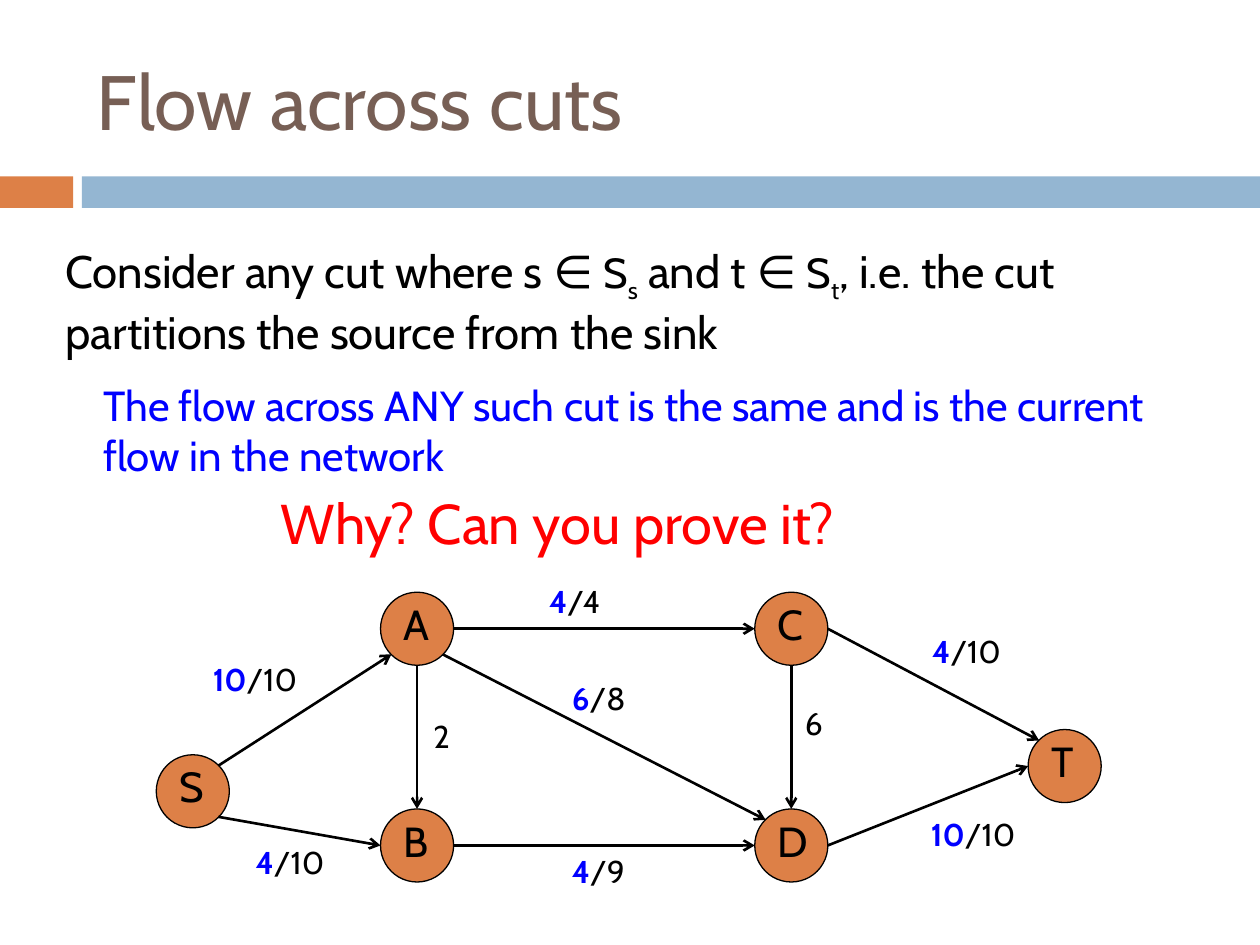
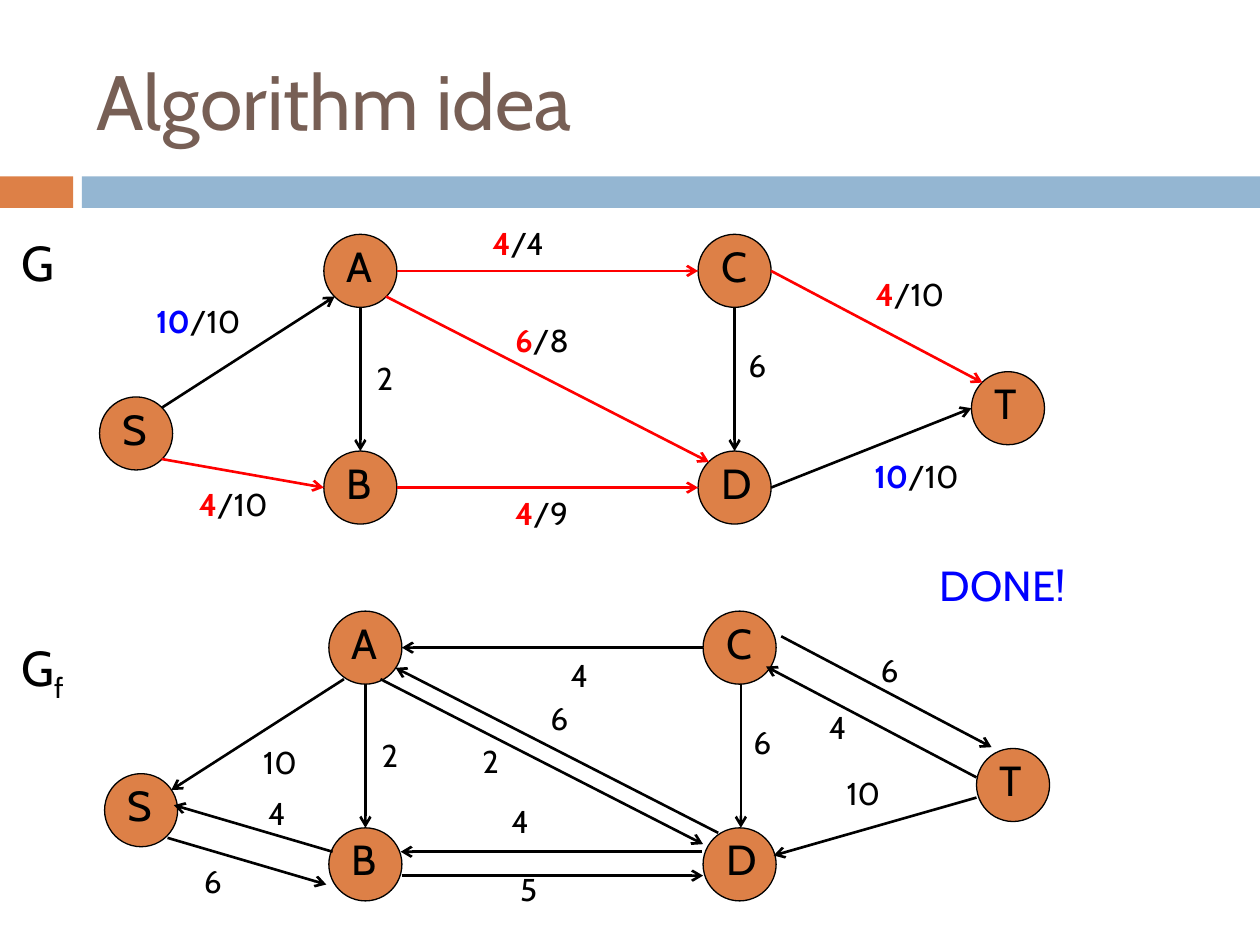
from lxml import etree
from pptx import Presentation
from pptx.dml.color import RGBColor
from pptx.enum.shapes import MSO_CONNECTOR, MSO_SHAPE
from pptx.enum.text import MSO_ANCHOR
from pptx.oxml.ns import qn
from pptx.util import Inches, Pt

RECTANGLE, ELLIPSE = MSO_SHAPE.RECTANGLE, MSO_SHAPE.OVAL
STRAIGHT = MSO_CONNECTOR.STRAIGHT
TOP, MIDDLE = MSO_ANCHOR.TOP, MSO_ANCHOR.MIDDLE

FONT = "Cabin"
BLACK, BLUE, RED = "000000", "0000FF", "FF0000"
ORANGE, BAND_BLUE, BROWN = "DD8047", "94B6D2", "775F55"

# Network geometry, relative to the network's top left corner
NODE_SIZE = 0.58
NODES = {"S": (0, 1.29), "A": (1.78, 0), "B": (1.78, 1.72),
         "C": (4.75, 0), "D": (4.75, 1.72), "T": (6.92, 1.09)}
# Points on a node's rim, as fractions of its size
SITES = {"top": (0.5, 0), "bottom": (0.5, 1), "left": (0, 0.5), "right": (1, 0.5),
         "top left": (0.15, 0.15), "top right": (0.85, 0.15),
         "bottom left": (0.15, 0.85), "bottom right": (0.85, 0.85)}

# Edge: start node, its site, end node, its site, label position
FLOW_EDGES = {
    "SA": ("S", "top right", "A", "bottom left", (0.35, 0.49)),
    "SB": ("S", "bottom right", "B", "left", (0.69, 1.94)),
    "BD": ("B", "right", "D", "left", (3.2, 2.01)),
    "AB": ("A", "bottom", "B", "top", (2.1, 0.94)),
    "AC": ("A", "right", "C", "left", (3.02, -0.13)),
    "CD": ("C", "bottom", "D", "top", (5.05, 0.84)),
    "AD": ("A", "bottom right", "D", "top left", (3.2, 0.64)),
    "CT": ("C", "right", "T", "top left", (6.06, 0.27)),
    "DT": ("D", "right", "T", "left", (6.05, 1.72)),
}
FLOW_LABELS = {"SA": "10/10", "SB": "4/10", "BD": "4/9", "AB": "2", "AC": "4/4",
               "CD": "6", "AD": "6/8", "CT": "4/10", "DT": "10/10"}

# Residual edge: start, end, label, label position
RESIDUAL_EDGES = [
    ((0.5, 1.8), (1.76, 2.17), "6", (0.69, 1.94)),      # S to B
    ((1.81, 1.91), (0.55, 1.54), "4", (1.2, 1.4)),      # B to S
    ((2.36, 2.1), (4.75, 2.1), "5", (3.2, 2.01)),       # B to D
    ((4.74, 1.91), (2.35, 1.91), "4", (3.13, 1.47)),    # D to B
    ((2.07, 0.58), (2.07, 1.72), "2", (2.1, 0.94)),     # A to B
    ((5.05, 0.58), (5.05, 1.72), "6", (5.05, 0.84)),    # C to D
    ((2.19, 0.54), (4.75, 1.85), "2", (2.9, 0.99)),     # A to D
    ((4.87, 1.76), (2.31, 0.45), "6", (3.44, 0.65)),    # D to A
    ((5.37, 0.2), (7.04, 1.08), "6", (6.06, 0.27)),     # C to T
    ((6.92, 1.32), (5.25, 0.44), "4", (5.65, 0.72)),    # T to C
    ((6.92, 1.48), (5.31, 1.94), "10", (5.79, 1.24)),   # T to D
    ((1.9, 0.54), (0.53, 1.42), "10", (1.16, 1.0)),     # A to S
    ((4.75, 0.29), (2.36, 0.29), "4", (3.6, 0.31)),     # C to A
]


def rgb(hex_color):
    return RGBColor.from_string(hex_color)


def add_text(shapes, box, text, size=18, color=BLACK, anchor=TOP):
    """Add text: a string, or a list of strings and (string, format) pairs."""
    shape = shapes.add_textbox(*map(Inches, box))
    frame = shape.text_frame
    frame.word_wrap = True
    frame.vertical_anchor = anchor
    paragraph = frame.paragraphs[0]
    for part in [text] if isinstance(text, str) else text:
        words, style = (part, {}) if isinstance(part, str) else part
        run = paragraph.add_run()
        run.text = words
        run.font.name = FONT
        run.font.size = Pt(style.get("size", size))
        run.font.bold = style.get("bold", False)
        run.font.color.rgb = rgb(style.get("color", color))
        if style.get("subscript"):
            run._r.get_or_add_rPr().set("baseline", "-25000")


def add_filled(shapes, kind, box, fill, line=None):
    shape = shapes.add_shape(kind, *map(Inches, box))
    shape.shadow.inherit = False
    shape.fill.solid()
    shape.fill.fore_color.rgb = rgb(fill)
    if line:
        shape.line.color.rgb = rgb(line)
        shape.line.width = Pt(0.75)
    else:
        shape.line.fill.background()


def add_arrow(slide, start, end, color=BLACK):
    arrow = slide.shapes.add_connector(STRAIGHT, *map(Inches, (*start, *end)))
    arrow.line.color.rgb = rgb(color)
    arrow.line.width = Pt(1.5)
    etree.SubElement(arrow.line._get_or_add_ln(), qn("a:tailEnd"), type="arrow")
    etree.SubElement(arrow._element.spPr, qn("a:effectLst"))


def shift(origin, point):
    return origin[0] + point[0], origin[1] + point[1]


def add_nodes(slide, origin):
    for name, position in NODES.items():
        left, top = shift(origin, position)
        group = slide.shapes.add_group_shape()
        add_filled(group.shapes, ELLIPSE, (left, top, NODE_SIZE, NODE_SIZE), ORANGE, BLACK)
        add_text(group.shapes, (left + 0.085, top, 0.5, 0.5), name, size=24)


def add_edge_label(slide, origin, position, label, flow_color=BLUE):
    """A label "flow/capacity" has its flow bold and coloured."""
    flow, slash, capacity = label.partition("/")
    text = [(flow, {"bold": True, "color": flow_color}), slash + capacity] if slash else label
    add_text(slide.shapes, (*shift(origin, position), 0.95, 0.4), text)


def rim_point(origin, node, site):
    across, down = SITES[site]
    return shift(shift(origin, NODES[node]), (across * NODE_SIZE, down * NODE_SIZE))


def add_flow_network(slide, origin, highlighted=()):
    add_nodes(slide, origin)
    for name, (start, start_site, end, end_site, position) in FLOW_EDGES.items():
        marked = name in highlighted
        add_arrow(slide, rim_point(origin, start, start_site),
                  rim_point(origin, end, end_site), RED if marked else BLACK)
        add_edge_label(slide, origin, position, FLOW_LABELS[name], RED if marked else BLUE)


def add_residual_network(slide, origin):
    add_nodes(slide, origin)
    for start, end, label, position in RESIDUAL_EDGES:
        add_arrow(slide, shift(origin, start), shift(origin, end))
        add_edge_label(slide, origin, position, label)


def add_titled_slide(presentation, title):
    slide = presentation.slides.add_slide(presentation.slide_layouts[6])
    add_filled(slide.shapes, RECTANGLE, (0, 1.4, 0.58, 0.25), ORANGE)
    add_filled(slide.shapes, RECTANGLE, (0.65, 1.4, 9.35, 0.25), BAND_BLUE)
    add_text(slide.shapes, (0.67, 0.25, 8.92, 1.08), title, size=44, color=BROWN, anchor=MIDDLE)
    return slide


def build_cuts_slide(presentation):
    slide = add_titled_slide(presentation, "Flow across cuts")
    add_flow_network(slide, (1.24, 4.7))
    # Statement and question
    set_name, index = {"size": 24}, {"size": 24, "subscript": True}
    add_text(slide.shapes, (0.42, 1.88, 9.08, 1.09),
             ["Consider any cut where s ∈ ", ("S", set_name), ("s", index),
              " and t ∈ ", ("S", set_name), ("t", index),
              ", i.e. the cut partitions the source from the sink"], size=26)
    add_text(slide.shapes, (0.72, 2.96, 8.52, 0.91),
             "The flow across ANY such cut is the same and is the current flow in the network",
             size=24, color=BLUE)
    add_text(slide.shapes, (2.13, 3.83, 4.62, 0.64), "Why? Can you prove it?",
             size=32, color=RED)


def build_algorithm_slide(presentation):
    slide = add_titled_slide(presentation, "Algorithm idea")
    # Graph names and result
    add_text(slide.shapes, (0.07, 1.8, 0.88, 0.57), "G", size=28)
    add_text(slide.shapes, (0.07, 5.01, 0.88, 0.57),
             ["G", ("f", {"size": 28, "subscript": True})], size=28)
    add_text(slide.shapes, (7.36, 4.39, 2.6, 0.5), "DONE!", size=24, color=BLUE)
    # Flow graph above, residual graph below
    add_flow_network(slide, (0.79, 1.86), highlighted=("SB", "BD", "AC", "AD", "CT"))
    add_residual_network(slide, (0.83, 4.85))


def main():
    presentation = Presentation()
    presentation.slide_width = Inches(10)
    presentation.slide_height = Inches(7.5)
    build_cuts_slide(presentation)
    build_algorithm_slide(presentation)
    presentation.save("out.pptx")


if __name__ == "__main__":
    main()
